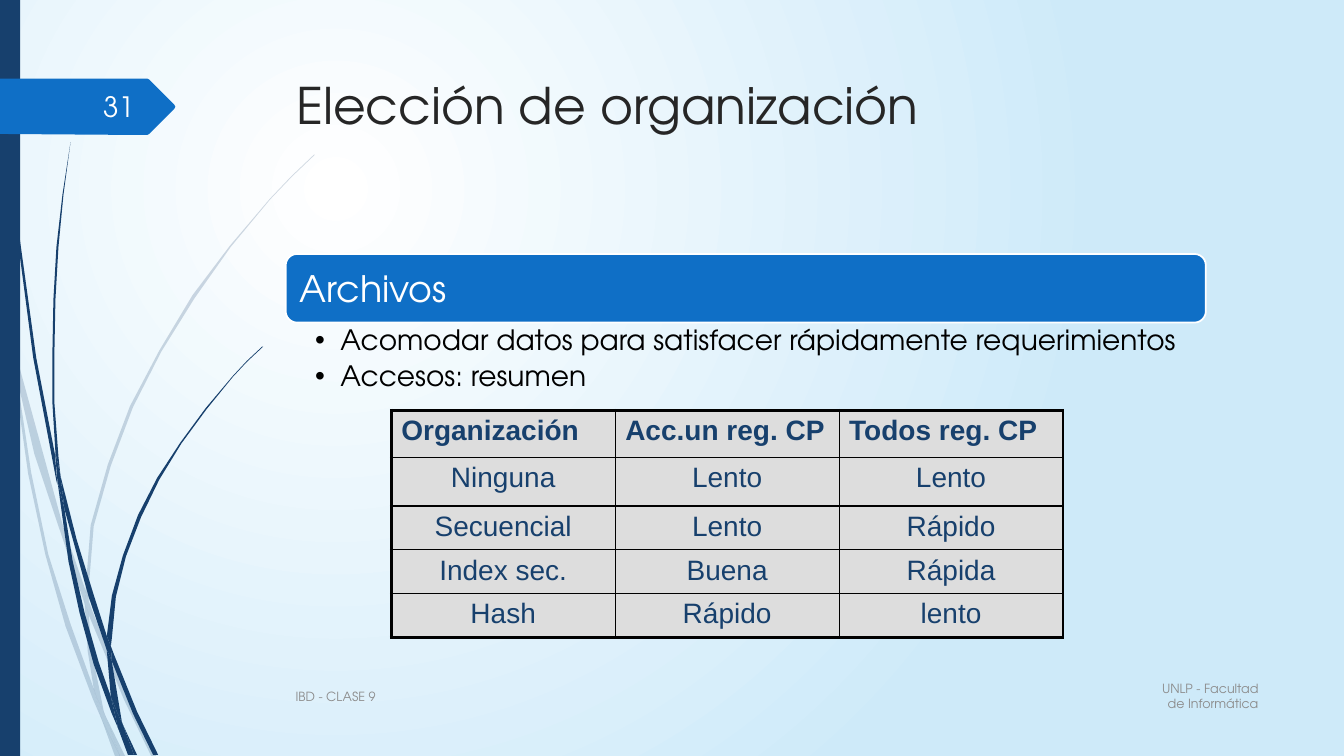
from dataclasses import dataclass
from typing import NamedTuple

from lxml.etree import SubElement
from pptx import Presentation
from pptx.dml.color import RGBColor
from pptx.enum.shapes import MSO_SHAPE as Shape
from pptx.enum.text import MSO_ANCHOR as Anchor, MSO_AUTO_SIZE as AutoSize, PP_ALIGN as Align
from pptx.oxml.ns import qn
from pptx.util import Cm, Pt


@dataclass(frozen=True)
class Theme:
    font: str = "TeX Gyre Adventor"
    table_font: str = "Arial"
    navy: str = "17406D"
    blue: str = "0F6FC6"
    sky: str = "CEEAF9"
    white: str = "FFFFFF"
    black: str = "000000"
    title: str = "262626"
    footer: str = "8C8C8C"
    cell: str = "DDDDDD"
    title_size: int = 36
    banner_size: int = 26
    text_size: int = 20
    footer_size: int = 9
    thick: float = 2.25
    thin: float = 1


class Box(NamedTuple):
    left: float
    top: float
    width: float
    height: float

    def lengths(self):
        return [Cm(value) for value in self]


THEME = Theme()
UNIT = Cm(2.54) / 100  # outlines are drawn in hundredths of an inch

PALE_STALKS = """
11,350 9,322 0,282 0,299 10,344
58,522 84,599 85,586 62,520 14,345 17,376 34,450
92,607 88,596 88,610 123,694 150,750 155,750 127,692
119,750 124,750 105,711
93,683 70,619 48,550 31,469 17,376 11,350 28,470 45,550 65,621 92,693 101,714 99,707
84,599 87,646 93,683 96,692 105,711 103,706 91,646 88,610 88,608
88,584 93,522 110,462 132,404 160,349 193,296 229,245 268,198 290,175 312,154 312,153 289,175 268,197 228,244 191,293 158,348 129,403 107,461 90,521 85,584 85,586 88,596
101,714 114,750 119,750
88,608 88,610 88,596 85,586 84,599
96,692 93,683 99,707 101,714 119,750 105,711
"""
DARK_STALKS = """
7,110 17,233 33,355 56,477 57,481 55,457 55,453 36,355 19,232 8,109 5,48 4,0 3,0 4,48
88,592 106,645 106,633 106,631 93,590 76,535 60,472 64,505
113,649 110,641 111,656 132,708 152,749 157,749 136,706
110,691 98,657 84,608 72,556 64,505 57,477 68,557 79,608 93,659 111,708 117,722 116,717
60,472 58,453 54,400 54,349 55,297 58,245 63,193 70,141 62,193 56,245 53,297 52,349 52,400 55,449
133,749 136,749 122,719
57,477 64,505 60,472 55,449 55,453
111,633 115,592 125,552 140,513 158,476 180,440 205,406 231,374 245,359 261,344 260,344 245,358 231,373 204,405 179,439 156,474 137,511 122,551 111,591 106,631 110,641
117,722 127,749 131,749
106,645 110,691 116,706 122,719 121,716 111,656 109,651
106,645 109,651 111,656 110,641 106,631 106,633
116,706 110,691 116,717 117,722 130,749 133,749 122,719
"""
TAG_OUTLINE = """
173,30 148,55 146,56 136,56 0,55 0,0 146,0 148,1 173,26 174,28
"""
ROWS = [
    ("Organización", "Acc.un reg. CP", "Todos reg. CP"),
    ("Ninguna", "Lento", "Lento"),
    ("Secuencial", "Lento", "Rápido"),
    ("Index sec.", "Buena", "Rápida"),
    ("Hash", "Rápido", "lento"),
]
ROW_HEIGHTS = (1.19, 1.22, 1.04, 1.04, 1.04)


def paint(shape, colour):
    shape.shadow.inherit = False
    shape.fill.solid()
    shape.fill.fore_color.rgb = RGBColor.from_string(colour)
    shape.line.fill.background()


def write(para, text, size, colour, align=Align.LEFT, name=THEME.font, bold=False):
    para.text = text
    para.alignment = align
    font = para.font
    font.size, font.name, font.bold = Pt(size), name, bold
    font.color.rgb = RGBColor.from_string(colour)


def set_margins(frame, left, top, right, bottom):
    frame.margin_left, frame.margin_top = Cm(left), Cm(top)
    frame.margin_right, frame.margin_bottom = Cm(right), Cm(bottom)


def place(holder, box):
    holder.left, holder.top, holder.width, holder.height = box.lengths()
    frame = holder.text_frame
    frame.auto_size = AutoSize.NONE
    frame.vertical_anchor = Anchor.TOP
    return frame


def add_label(page, box, text, size, colour, align):
    frame = page.shapes.add_textbox(*box.lengths()).text_frame
    frame.word_wrap = True
    frame.vertical_anchor = Anchor.MIDDLE
    write(frame.paragraphs[0], text, size, colour, align)


def draw_outlines(page, box, outlines, colour, opacity=100):
    """Fill one polygon per line of x,y pairs, measured from the corner of the box."""
    for line in outlines.strip().splitlines():
        start, *others = [tuple(map(int, pair.split(","))) for pair in line.split()]
        builder = page.shapes.build_freeform(*start, scale=UNIT)
        builder.add_line_segments(others, close=True)
        shape = builder.convert_to_shape(Cm(box.left), Cm(box.top))
        paint(shape, colour)
        if opacity < 100:
            tint = shape.element.spPr.find(f"{qn('a:solidFill')}/{qn('a:srgbClr')}")
            SubElement(tint, qn("a:alpha"), val=str(opacity * 1000))


def add_background(page):
    fill = page.background.fill
    fill.gradient()
    for stop, colour in zip(fill.gradient_stops, (THEME.white, THEME.sky)):
        stop.color.rgb = RGBColor.from_string(colour)
    gradient = page.element.find(f".//{qn('a:gradFill')}")
    gradient.remove(gradient.find(qn("a:lin")))
    circle = SubElement(gradient, qn("a:path"), path="circle")
    SubElement(circle, qn("a:fillToRect"), l="50000", t="50000", r="100000", b="100000")


def add_decoration(page, box):
    draw_outlines(page, box, PALE_STALKS, THEME.navy, opacity=20)
    draw_outlines(page, box, DARK_STALKS, THEME.navy)
    edge = box._replace(width=0.51)
    paint(page.shapes.add_shape(Shape.RECTANGLE, *edge.lengths()), THEME.navy)


def add_number_tag(page, box, number):
    draw_outlines(page, box, TAG_OUTLINE, THEME.blue)
    label = Box(box.left + 1.47, box.top + 0.2, 2.16, 1.02)
    add_label(page, label, number, THEME.text_size, THEME.white, Align.RIGHT)


def add_topic(page, box, heading, points):
    """Place a banner with its bulleted list directly below."""
    banner_height = 1.73
    banner = page.shapes.add_shape(
        Shape.ROUNDED_RECTANGLE, *box._replace(height=banner_height).lengths())
    paint(banner, THEME.blue)
    banner.line.color.rgb = RGBColor.from_string(THEME.white)
    banner.line.width = Pt(1.25)
    frame = banner.text_frame
    set_margins(frame, 0.27, 0.28, 0.27, 0.28)
    frame.vertical_anchor = Anchor.MIDDLE
    write(frame.paragraphs[0], heading, THEME.banner_size, THEME.white)

    body = place(page.placeholders[1], box._replace(
        top=box.top + banner_height, height=box.height - banner_height))
    set_margins(body, 0.74, 0.1, 0.5, 0.1)
    for index, point in enumerate(points):
        para = body.add_paragraph() if index else body.paragraphs[0]
        write(para, point, THEME.text_size, THEME.black)
        para.level = 1
        para.line_spacing = 0.9
        para.space_before, para.space_after = Pt(0), Pt(4)
        settings = para._p.get_or_add_pPr()
        settings.set("marL", str(Cm(0.64)))
        settings.set("indent", str(-Cm(0.64)))
        bullet = SubElement(settings, qn("a:buChar"), char="•")
        settings.find(qn("a:defRPr")).addprevious(bullet)


def set_borders(cell, widths):
    """Draw the left, right, top and bottom lines of a cell."""
    settings = cell._tc.get_or_add_tcPr()
    for side, width in zip("LRTB", widths):
        line = SubElement(settings, qn(f"a:ln{side}"), w=str(Pt(width)))
        SubElement(SubElement(line, qn("a:solidFill")), qn("a:srgbClr"), val=THEME.black)


def add_comparison(page, box, rows):
    last_row, last_column = len(rows) - 1, len(rows[0]) - 1
    table = page.shapes.add_table(len(rows), len(rows[0]), *box.lengths()).table
    table.first_row = table.horz_banding = False
    for column in table.columns:
        column.width = Cm(box.width / len(rows[0]))
    for row, (texts, height) in enumerate(zip(rows, ROW_HEIGHTS)):
        table.rows[row].height = Cm(height)
        for column, text in enumerate(texts):
            cell = table.cell(row, column)
            outer = (column == 0, column == last_column, row == 0, row == last_row)
            set_borders(cell, [THEME.thick if side else THEME.thin for side in outer])
            cell.fill.solid()
            cell.fill.fore_color.rgb = RGBColor.from_string(THEME.cell)
            write(cell.text_frame.paragraphs[0], text, THEME.text_size, THEME.navy,
                  Align.CENTER if row else Align.LEFT, THEME.table_font, bold=row == 0)


def main():
    deck = Presentation()
    deck.slide_width, deck.slide_height = Cm(33.87), Cm(19.05)
    page = deck.slides.add_slide(deck.slide_layouts[1])
    add_background(page)
    add_decoration(page, Box(0, 0, 7.92, 19.05))
    add_number_tag(page, Box(0, 1.98, 4.42, 1.4), "31")
    title = place(page.shapes.title, Box(7.21, 1.73, 24.77, 3.56))
    write(title.paragraphs[0], "Elección de organización", THEME.title_size, THEME.title)
    add_topic(page, Box(7.2, 6.4, 23.19, 3.69), "Archivos", [
        "Acomodar datos para satisfacer rápidamente requerimientos", "Accesos: resumen"])
    add_label(page, Box(28.78, 17.02, 3.18, 1.04), "UNLP - Facultad de Informática",
              THEME.footer_size, THEME.footer, Align.RIGHT)
    add_label(page, Box(7.2, 17.04, 21.16, 1.02), "IBD - CLASE 9",
              THEME.footer_size, THEME.footer, Align.LEFT)
    add_comparison(page, Box(9.86, 10.34, 16.93, sum(ROW_HEIGHTS)), ROWS)
    deck.save("out.pptx")


if __name__ == "__main__":
    main()
